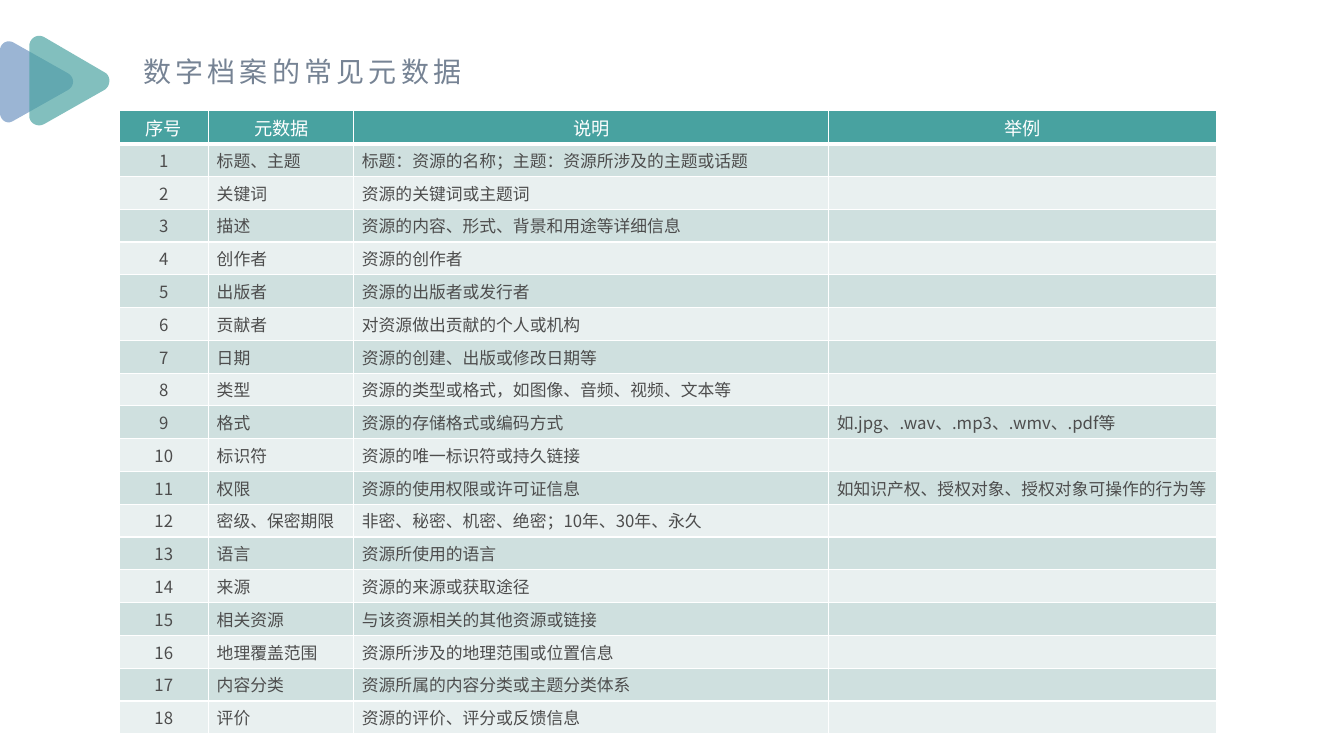
from lxml import etree
from pptx import Presentation
from pptx.dml.color import RGBColor
from pptx.enum.text import MSO_ANCHOR, PP_ALIGN
from pptx.oxml import parse_xml
from pptx.oxml.ns import nsdecls, qn
from pptx.util import Inches, Pt

FONT = "Noto Sans CJK SC"
TEAL = RGBColor(0x48, 0xA2, 0xA0)
BLUE = RGBColor(0x6C, 0x92, 0xC0)
SLATE = RGBColor(0x76, 0x83, 0x94)
WHITE = RGBColor(0xFF, 0xFF, 0xFF)
DARK = RGBColor(0x4D, 0x4D, 0x4D)
BAND_DARK = RGBColor(0xCF, 0xE0, 0xDF)
BAND_LIGHT = RGBColor(0xE9, 0xF0, 0xF0)
LEFT, CENTER = PP_ALIGN.LEFT, PP_ALIGN.CENTER
MIDDLE = MSO_ANCHOR.MIDDLE

HEADERS = ("序号", "元数据", "说明", "举例")
METADATA = [
    ("标题、主题", "标题：资源的名称；主题：资源所涉及的主题或话题"),
    ("关键词", "资源的关键词或主题词"),
    ("描述", "资源的内容、形式、背景和用途等详细信息"),
    ("创作者", "资源的创作者"),
    ("出版者", "资源的出版者或发行者"),
    ("贡献者", "对资源做出贡献的个人或机构"),
    ("日期", "资源的创建、出版或修改日期等"),
    ("类型", "资源的类型或格式，如图像、音频、视频、文本等"),
    ("格式", "资源的存储格式或编码方式"),
    ("标识符", "资源的唯一标识符或持久链接"),
    ("权限", "资源的使用权限或许可证信息"),
    ("密级、保密期限", "非密、秘密、机密、绝密；10年、30年、永久"),
    ("语言", "资源所使用的语言"),
    ("来源", "资源的来源或获取途径"),
    ("相关资源", "与该资源相关的其他资源或链接"),
    ("地理覆盖范围", "资源所涉及的地理范围或位置信息"),
    ("内容分类", "资源所属的内容分类或主题分类体系"),
    ("评价", "资源的评价、评分或反馈信息"),
]
EXAMPLES = {
    "格式": "如.jpg、.wav、.mp3、.wmv、.pdf等",
    "权限": "如知识产权、授权对象、授权对象可操作的行为等",
}
COLUMN_WIDTHS = (0.89, 1.44, 4.71, 3.85)
TABLE_HEIGHT = 6.18

# Each triangle has three corners; each corner is one cubic curve.
TRIANGLES = [
    (BLUE, [
        [(0.13, 0.42), (0.07, 0.39), (0, 0.43), (0, 0.5)],
        [(0, 1.12), (0, 1.19), (0.07, 1.24), (0.13, 1.2)],
        [(0.68, 0.89), (0.74, 0.85), (0.74, 0.77), (0.68, 0.73)],
    ]),
    (TEAL, [
        [(0.44, 0.37), (0.37, 0.33), (0.29, 0.38), (0.29, 0.46)],
        [(0.29, 1.15), (0.29, 1.22), (0.37, 1.27), (0.44, 1.23)],
        [(1.04, 0.89), (1.1, 0.85), (1.1, 0.75), (1.04, 0.72)],
    ]),
]
CURVE_STEPS = 10


def write(frame, text, size, color, align=LEFT, spacing=0):
    """Fill a text frame with one formatted paragraph, keeping its size when empty."""
    para = frame.paragraphs[0]
    para.alignment = align
    if not text:
        end = etree.SubElement(para._p, qn("a:endParaRPr"))
        end.set("sz", str(size * 100))
        return
    span = para.add_run()
    span.text = text
    span.font.size = Pt(size)
    span.font.name = FONT
    span.font.color.rgb = color
    properties = span.font._element
    etree.SubElement(properties, qn("a:ea")).set("typeface", FONT)
    if spacing:
        properties.set("spc", str(spacing * 100))


def add_borders(cell, top=1, bottom=1):
    """Draw white cell borders; top and bottom are widths in points."""
    borders = (("lnL", 1), ("lnR", 1), ("lnT", top), ("lnB", bottom))
    for position, (tag, width) in enumerate(borders):
        cell._tc.get_or_add_tcPr().insert(position, parse_xml(
            f'<a:{tag} {nsdecls("a")} w="{Pt(width)}"><a:solidFill>'
            f'<a:srgbClr val="{WHITE}"/></a:solidFill></a:{tag}>'))


deck = Presentation()
deck.slide_width, deck.slide_height = Inches(13.33), Inches(7.5)
page = deck.slides.add_slide(deck.slide_layouts[5])

title = page.shapes.title
title.left, title.top = Inches(1.32), Inches(0.49)
title.width, title.height = Inches(3.43), Inches(0.44)
title.text_frame.word_wrap = False
title.text_frame.vertical_anchor = MIDDLE
write(title.text_frame, "数字档案的常见元数据", 20, SLATE, spacing=3)

for color, corners in TRIANGLES:
    points = []
    for corner in corners:
        for step in range(CURVE_STEPS + 1):
            t = step / CURVE_STEPS
            weights = ((1 - t) ** 3, 3 * t * (1 - t) ** 2, 3 * t * t * (1 - t), t ** 3)
            points.append([Inches(sum(weight * value for weight, value in zip(weights, axis)))
                           for axis in zip(*corner)])
    builder = page.shapes.build_freeform(*points[0])
    builder.add_line_segments(points[1:])
    triangle = builder.convert_to_shape()
    triangle.shadow.inherit = False
    triangle.fill.solid()
    triangle.fill.fore_color.rgb = color
    triangle.line.fill.background()
    fill_color = triangle._element.spPr.find(f'{qn("a:solidFill")}/{qn("a:srgbClr")}')
    etree.SubElement(fill_color, qn("a:alpha")).set("val", "68000")

rows = [HEADERS]
for number, (name, meaning) in enumerate(METADATA, start=1):
    rows.append((str(number), name, meaning, EXAMPLES.get(name, "")))

table = page.shapes.add_table(
    len(rows), len(HEADERS), Inches(1.18), Inches(1.1),
    Inches(sum(COLUMN_WIDTHS)), Inches(TABLE_HEIGHT)).table
for column, width in zip(table.columns, COLUMN_WIDTHS):
    column.width = Inches(width)

for row_index, values in enumerate(rows):
    table.rows[row_index].height = Inches(TABLE_HEIGHT / len(rows))
    is_header = row_index == 0
    band = TEAL if is_header else BAND_DARK if row_index % 2 else BAND_LIGHT
    for column_index, value in enumerate(values):
        cell = table.cell(row_index, column_index)
        cell.margin_left = cell.margin_right = Inches(0.08)
        cell.margin_top = cell.margin_bottom = Inches(0.03)
        cell.vertical_anchor = MIDDLE
        cell.fill.solid()
        cell.fill.fore_color.rgb = band
        add_borders(cell, top=3 if row_index == 1 else 1, bottom=3 if is_header else 1)
        write(cell.text_frame, value, 13 if is_header else 12,
              WHITE if is_header else DARK,
              align=CENTER if is_header or column_index == 0 else LEFT)

deck.save("out.pptx")
